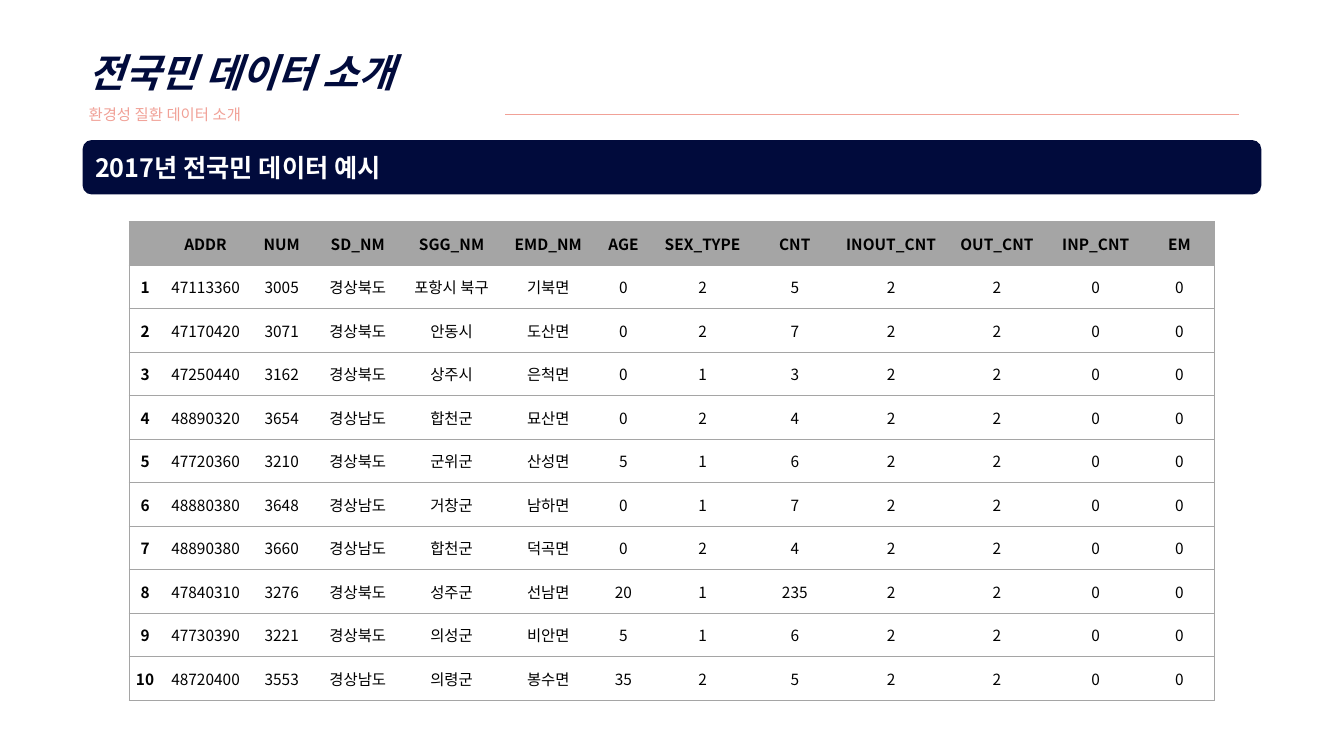
from dataclasses import astuple, dataclass

from lxml.etree import SubElement as Sub
from pptx import Presentation
from pptx.dml.color import RGBColor as Rgb
from pptx.enum.shapes import MSO_CONNECTOR as Link, MSO_SHAPE as Form
from pptx.enum.text import MSO_ANCHOR as Anchor, MSO_AUTO_SIZE as Auto, PP_ALIGN as Align
from pptx.oxml.ns import qn
from pptx.util import Inches, Pt

FONT = "Noto Sans CJK KR"
HUES = {"navy": "010B3C", "pink": "F1A197", "gray": "A5A5A5",
        "white": "FFFFFF", "black": "000000"}
WIDE, HIGH = Inches(13.33), Inches(7.5)
HEADS = ["", "ADDR", "NUM", "SD_NM", "SGG_NM", "EMD_NM", "AGE", "SEX_TYPE",
         "CNT", "INOUT_CNT", "OUT_CNT", "INP_CNT", "EM"]
SPANS = [32, 88, 63, 88, 98, 94, 55, 102, 81, 110, 100, 96, 70]


@dataclass
class Box:
    left: float
    top: float
    width: float
    height: float

    def place(self) -> tuple[int, int, int, int]:
        return across(self.left), down(self.top), across(self.width), down(self.height)


@dataclass
class Case:
    addr: int
    num: int
    state: str
    city: str
    town: str
    age: int
    sex: int
    count: int
    inout: int = 2
    out: int = 2
    inp: int = 0
    em: int = 0


CASES = [
    Case(47113360, 3005, "경상북도", "포항시 북구", "기북면", 0, 2, 5),
    Case(47170420, 3071, "경상북도", "안동시", "도산면", 0, 2, 7),
    Case(47250440, 3162, "경상북도", "상주시", "은척면", 0, 1, 3),
    Case(48890320, 3654, "경상남도", "합천군", "묘산면", 0, 2, 4),
    Case(47720360, 3210, "경상북도", "군위군", "산성면", 5, 1, 6),
    Case(48880380, 3648, "경상남도", "거창군", "남하면", 0, 1, 7),
    Case(48890380, 3660, "경상남도", "합천군", "덕곡면", 0, 2, 4),
    Case(47840310, 3276, "경상북도", "성주군", "선남면", 20, 1, 235),
    Case(47730390, 3221, "경상북도", "의성군", "비안면", 5, 1, 6),
    Case(48720400, 3553, "경상남도", "의령군", "봉수면", 35, 2, 5),
]

TITLE = Box(5.85, 2.67, 50, 14)
RULE = Box(37.58, 15.07, 54.62, 0)
BAR = Box(6.15, 18.53, 87.7, 7.2)
GRID = Box(9.6, 29.33, 80.8, 63.33)


def across(share: float) -> int:
    return round(WIDE * share / 100)


def down(share: float) -> int:
    return round(HIGH * share / 100)


def hue(name: str) -> Rgb:
    return Rgb.from_string(HUES[name])


def write(para, text: str, *, size: float = 11, color: str = "black", bold: bool = False,
          italic: bool = False, align=Align.LEFT, space: float = 1) -> None:
    para.alignment = align
    para.line_spacing = space
    run = para.add_run()
    run.text = text
    font = run.font
    font.size, font.bold, font.italic = Pt(size), bold, italic
    font.name = FONT
    font.color.rgb = hue(color)
    Sub(font._element, qn("a:ea"), typeface=FONT)


def edge(cell, side: str, shown: bool) -> None:
    line = Sub(cell._tc.get_or_add_tcPr(), qn(f"a:ln{side}"), w=str(Pt(0.5)))
    if shown:
        fill = Sub(line, qn("a:solidFill"))
        Sub(fill, qn("a:srgbClr"), val=HUES["gray"])
    else:
        Sub(line, qn("a:noFill"))


def title(slide) -> None:
    frame = slide.shapes.add_textbox(*TITLE.place()).text_frame
    frame.word_wrap = True
    frame.auto_size = Auto.SHAPE_TO_FIT_TEXT
    write(frame.paragraphs[0], "전국민 데이터 소개", size=28, color="navy",
          bold=True, italic=True, space=1.5)
    write(frame.add_paragraph(), "환경성 질환 데이터 소개", color="pink", space=1.5)


def rule(slide) -> None:
    left, top, width, _ = RULE.place()
    line = slide.shapes.add_connector(Link.STRAIGHT, left, top, left + width, top)
    line.line.color.rgb = hue("pink")
    line.line.width = Pt(0.5)
    Sub(line._element.spPr, qn("a:effectLst"))


def banner(slide) -> None:
    bar = slide.shapes.add_shape(Form.ROUNDED_RECTANGLE, *BAR.place())
    bar.shadow.inherit = False
    bar.fill.solid()
    bar.fill.fore_color.rgb = hue("navy")
    bar.line.fill.background()
    bar.text_frame.vertical_anchor = Anchor.MIDDLE
    write(bar.text_frame.paragraphs[0], "2017년 전국민 데이터 예시", size=18,
          color="white", bold=True)


def fill(cell, text: str, row: int, col: int) -> None:
    head = row == 0
    cell.vertical_anchor = Anchor.MIDDLE
    if not head:
        cell.margin_left = cell.margin_right = Inches(0.05)
        cell.margin_top = cell.margin_bottom = Inches(0.04)
    if text:
        write(cell.text_frame.paragraphs[0], text, bold=head or col == 0,
              align=Align.CENTER)
    edge(cell, "L", col == 0)
    edge(cell, "R", col == len(HEADS) - 1)
    edge(cell, "T", True)
    edge(cell, "B", True)
    if head:
        cell.fill.solid()
        cell.fill.fore_color.rgb = hue("gray")
    else:
        cell.fill.background()


def table(slide) -> None:
    rows = [HEADS] + [[str(n), *map(str, astuple(case))] for n, case in enumerate(CASES, 1)]
    grid = slide.shapes.add_table(len(rows), len(HEADS), *GRID.place()).table
    grid.horz_banding = False
    for col, span in zip(grid.columns, SPANS):
        col.width = across(GRID.width * span / sum(SPANS))
    for r, texts in enumerate(rows):
        grid.rows[r].height = down(GRID.height / len(rows))
        for c, text in enumerate(texts):
            fill(grid.cell(r, c), text, r, c)


def main() -> None:
    deck = Presentation()
    deck.slide_width, deck.slide_height = WIDE, HIGH
    slide = deck.slides.add_slide(deck.slide_layouts[6])
    for draw in (title, rule, banner, table):
        draw(slide)
    deck.save("out.pptx")


if __name__ == "__main__":
    main()
